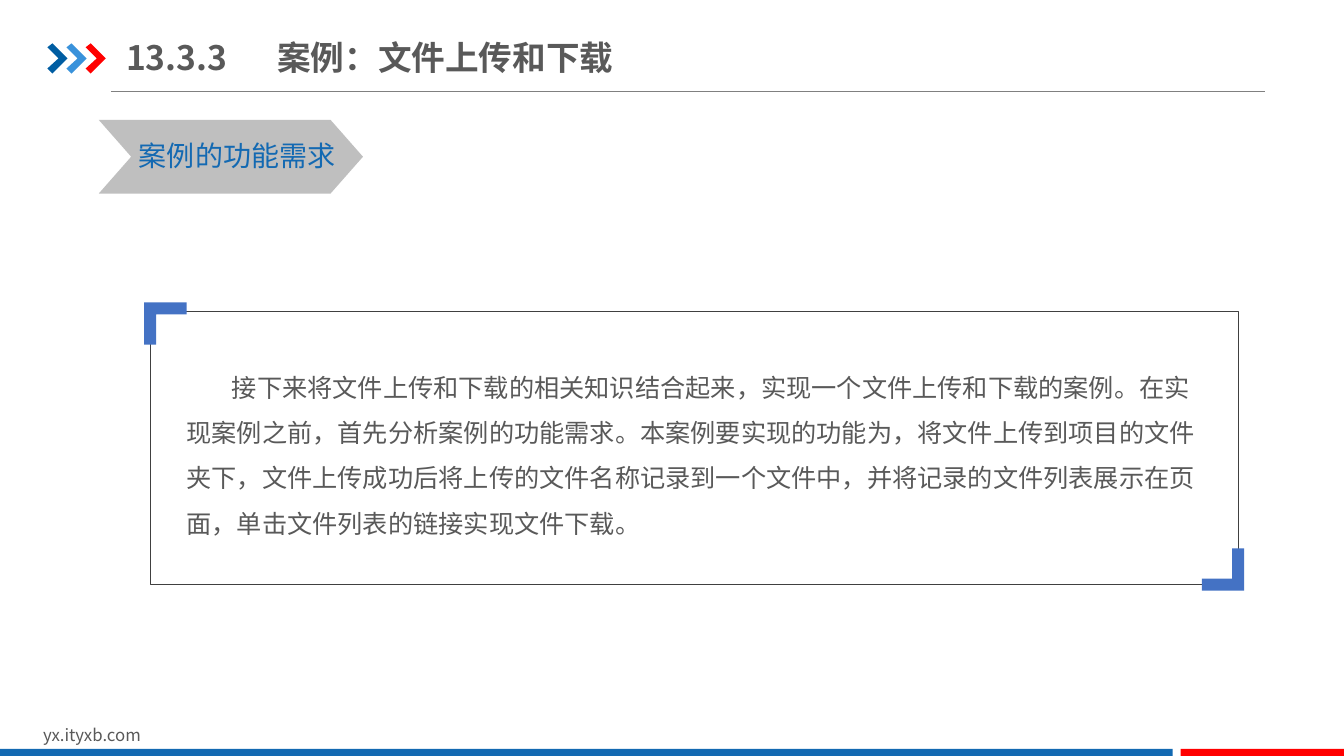
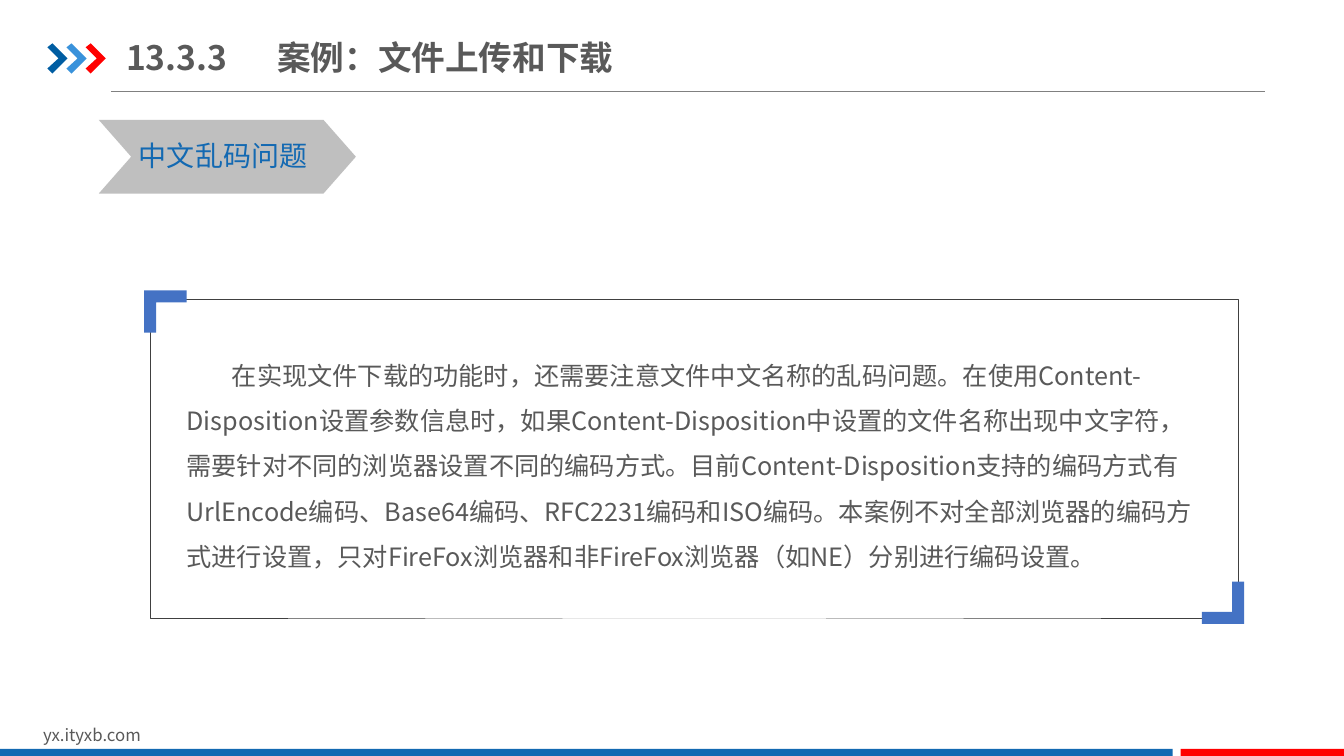
"""Build two course slides about a file upload and download case."""
from dataclasses import dataclass

from lxml import etree
from pptx import Presentation
from pptx.dml.color import RGBColor
from pptx.enum.shapes import MSO_CONNECTOR, MSO_SHAPE
from pptx.enum.text import MSO_ANCHOR, MSO_AUTO_SIZE, PP_ALIGN
from pptx.oxml.ns import qn
from pptx.util import Inches, Pt

RECT, CHEVRON = MSO_SHAPE.RECTANGLE, MSO_SHAPE.CHEVRON
STRAIGHT = MSO_CONNECTOR.STRAIGHT
TOP, MIDDLE = MSO_ANCHOR.TOP, MSO_ANCHOR.MIDDLE
NO_FIT, LEFT = MSO_AUTO_SIZE.NONE, PP_ALIGN.LEFT


@dataclass(frozen=True)
class Theme:
    """Colours, font and type sizes shared by all slides."""
    font: str = "Noto Sans CJK SC"
    text: str = "595959"
    blue: str = "1369B2"
    red: str = "FF0000"
    tag: str = "BFBFBF"
    rule: str = "808080"
    frame: str = "404040"
    bracket: str = "4472C4"
    arrows: tuple[str, ...] = ("005DA2", "3992DB", "FF0000")
    title_size: int = 24
    tag_size: int = 20
    body_size: int = 18
    footer_size: int = 12


@dataclass(frozen=True)
class Topic:
    """Content of one slide and the size of its tag and panel."""
    tag: str
    tag_width: float
    top: float
    height: float
    body: str


THEME = Theme()
TITLE = "13.3.3\t案例：文件上传和下载"
FOOTER = "yx.ityxb.com"
PANEL_LEFT, PANEL_WIDTH = 1.49, 10.79
TOPICS = (
    Topic("案例的功能需求", 2.62, 3.09, 2.71,
          "接下来将文件上传和下载的相关知识结合起来，实现一个文件上传和下载的案例。"
          "在实现案例之前，首先分析案例的功能需求。本案例要实现的功能为，"
          "将文件上传到项目的文件夹下，文件上传成功后将上传的文件名称记录到一个文件中，"
          "并将记录的文件列表展示在页面，单击文件列表的链接实现文件下载。"),
    Topic("中文乱码问题", 2.55, 2.97, 3.16,
          "在实现文件下载的功能时，还需要注意文件中文名称的乱码问题。"
          "在使用Content-Disposition设置参数信息时，"
          "如果Content-Disposition中设置的文件名称出现中文字符，"
          "需要针对不同的浏览器设置不同的编码方式。"
          "目前Content-Disposition支持的编码方式有UrlEncode编码、Base64编码、"
          "RFC2231编码和ISO编码。本案例不对全部浏览器的编码方式进行设置，"
          "只对FireFox浏览器和非FireFox浏览器（如NE）分别进行编码设置。"),
)


def place(sp, x: float, y: float, w: float, h: float) -> None:
    """Move and size a shape, in inches."""
    sp.left, sp.top, sp.width, sp.height = map(Inches, (x, y, w, h))


def write(tf, text: str, *, size: int, color: str = THEME.text, bold: bool = False,
          anchor=TOP, spacing: float = 1.0, indent: float = 0, tab: float = 0,
          margins: tuple[float, float] = (0.1, 0.05)) -> None:
    """Fill a text frame with one formatted paragraph."""
    tf.word_wrap, tf.auto_size, tf.vertical_anchor = True, NO_FIT, anchor
    tf.margin_left = tf.margin_right = Inches(margins[0])
    tf.margin_top = tf.margin_bottom = Inches(margins[1])
    p = tf.paragraphs[0]
    pPr = p._p.get_or_add_pPr()
    pPr.set("marL", "0")
    pPr.set("indent", str(Inches(indent)))
    etree.SubElement(pPr, qn("a:buNone"))
    if tab:
        tabs = etree.SubElement(pPr, qn("a:tabLst"))
        etree.SubElement(tabs, qn("a:tab"), pos=str(Inches(tab)), algn="l")
    p.alignment, p.line_spacing, p.space_before = LEFT, spacing, Pt(0)
    r = p.add_run()
    r.text = text
    r.font.size, r.font.bold, r.font.name = Pt(size), bold, THEME.font
    r.font.color.rgb = RGBColor.from_string(color)
    etree.SubElement(r._r.get_or_add_rPr(), qn("a:ea"), typeface=THEME.font)


def paint(sp, color: str) -> None:
    """Give a shape a plain fill with no line or shadow."""
    sp.shadow.inherit = False
    sp.fill.solid()
    sp.fill.fore_color.rgb = RGBColor.from_string(color)
    sp.line.fill.background()


def add_block(s, kind, x: float, y: float, w: float, h: float, color: str):
    """Add a filled preset shape."""
    sp = s.shapes.add_shape(kind, *map(Inches, (x, y, w, h)))
    paint(sp, color)
    return sp


def add_outline(s, x: float, y: float, points, color: str, sign: int = 1) -> None:
    """Add a filled polygon whose points are offsets from x, y."""
    pts = [(Inches(x + sign * dx), Inches(y + sign * dy)) for dx, dy in points]
    builder = s.shapes.build_freeform(*pts[0])
    builder.add_line_segments(pts[1:], close=True)
    paint(builder.convert_to_shape(), color)


def add_text(s, x: float, y: float, w: float, h: float, text: str, **fmt) -> None:
    """Add a text box."""
    write(s.shapes.add_textbox(*map(Inches, (x, y, w, h))).text_frame, text, **fmt)


def add_frame(s) -> None:
    """Draw the title, its arrows and rule, and the footer."""
    place(s.shapes.title, 1.25, 0.29, 4.96, 0.55)
    write(s.shapes.title.text_frame, TITLE, size=THEME.title_size, bold=True,
          anchor=MIDDLE, tab=1.22, margins=(0, 0.07))
    rule = s.shapes.add_connector(STRAIGHT, *map(Inches, (1.1, 0.91, 12.55, 0.91)))
    rule.line.color.rgb = RGBColor.from_string(THEME.rule)
    rule.line.width = Pt(0.5)
    etree.SubElement(rule._element.spPr, qn("a:effectLst"))
    arrow = ((0, 0.04), (0.05, 0), (0.2, 0.15), (0.05, 0.3), (0, 0.25), (0.11, 0.15))
    for i, color in enumerate(THEME.arrows):
        add_outline(s, 0.47 + 0.19 * i, 0.43, arrow, color)
    add_text(s, 0.33, 7.14, 3.18, 0.3, FOOTER, size=THEME.footer_size)
    for x, w, color in ((0, 11.63, THEME.blue), (11.71, 1.62, THEME.red)):
        add_block(s, RECT, x, 7.43, w, 0.07, color)


def add_panel(s, topic: Topic) -> None:
    """Draw the outlined panel, its corner brackets and the body text."""
    panel = s.shapes.add_shape(
        RECT, *map(Inches, (PANEL_LEFT, topic.top, PANEL_WIDTH, topic.height)))
    panel.shadow.inherit = False
    panel.fill.background()
    panel.line.color.rgb = RGBColor.from_string(THEME.frame)
    panel.line.width = Pt(0.25)
    bracket = ((0, 0), (0.42, 0), (0.42, 0.12), (0.12, 0.12), (0.12, 0.42), (0, 0.42))
    right, bottom = PANEL_LEFT + PANEL_WIDTH, topic.top + topic.height
    add_outline(s, PANEL_LEFT - 0.06, topic.top - 0.09, bracket, THEME.bracket)
    add_outline(s, right + 0.06, bottom + 0.06, bracket, THEME.bracket, sign=-1)
    body = s.placeholders[1]
    place(body, 1.75, topic.top + 0.4, 10.27, topic.height - 0.74)
    write(body.text_frame, topic.body, size=THEME.body_size, spacing=1.5, indent=0.45)


def add_topic(prs, topic: Topic) -> None:
    """Add one slide."""
    s = prs.slides.add_slide(prs.slide_layouts[1])
    add_frame(s)
    tag = add_block(s, CHEVRON, 0.98, 1.19, topic.tag_width, 0.73, THEME.tag)
    tag.adjustments[0] = 0.44
    add_text(s, 1.28, 1.33, 2.32, 0.44, topic.tag, size=THEME.tag_size, color=THEME.blue)
    add_panel(s, topic)


def main() -> None:
    """Build and save the presentation."""
    prs = Presentation()
    prs.slide_width, prs.slide_height = Inches(13.33), Inches(7.5)
    for topic in TOPICS:
        add_topic(prs, topic)
    prs.save("out.pptx")


if __name__ == "__main__":
    main()
